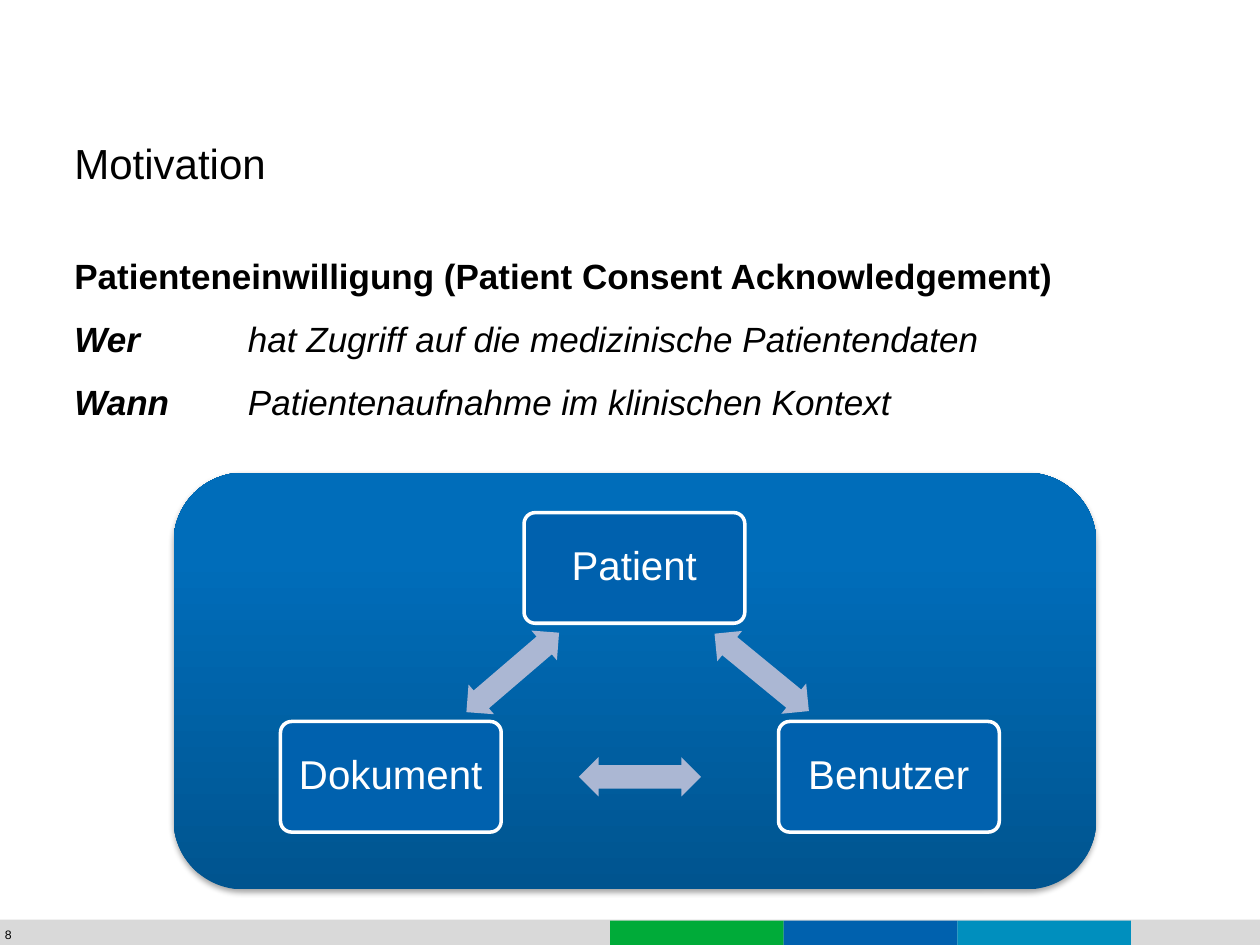
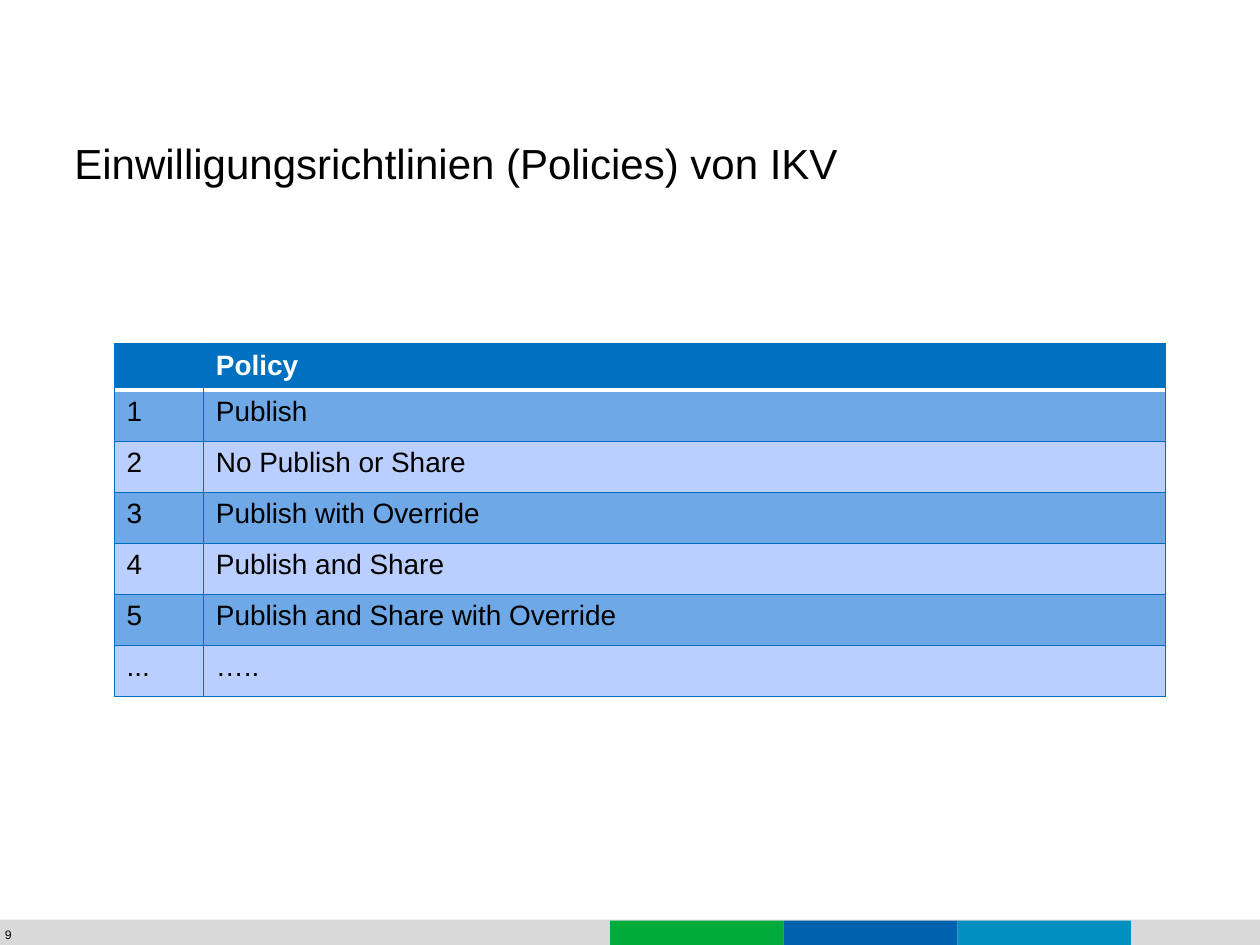
import math
from itertools import combinations

from lxml import etree
from pptx import Presentation
from pptx.dml.color import RGBColor
from pptx.enum import shapes, text
from pptx.oxml import ns
from pptx.util import Cm, Pt

COLORS = {
    "black": "000000", "white": "FFFFFF", "gray": "D9D9D9",
    "green": "00AB39", "blue": "0061AE", "cyan": "008FBE",
    "panel_dark": "00548F", "panel_light": "006DBA", "arrow": "ABB7D3",
    "header": "0070C0", "border": "006EBC",
    "row_dark": "6FA8E6", "row_light": "BBCFFF",
}
FONT = "Arial"
SLIDE_WIDTH, SLIDE_HEIGHT = 25.4, 19.05
MARGIN, TEXT_WIDTH = 1.5, 22.4
BANDS = ["green", "blue", "cyan"]
BAND_LEFT, BAND_WIDTH = 12.3, 3.5

MOTIVATION = {
    "number": 8,
    "title": "Motivation",
    # each line: (words, bold, italic)
    "lines": [
        [("Patienteneinwilligung (Patient Consent Acknowledgement)", True, False)],
        [("Wer\t", True, True),
         ("hat Zugriff auf die medizinische Patientendaten", False, True)],
        [("Wann\t", True, True),
         ("Patientenaufnahme im klinischen Kontext", False, True)],
    ],
    # centre of each node
    "nodes": {
        "Patient": (12.79, 11.45),
        "Benutzer": (17.92, 15.66),
        "Dokument": (7.88, 15.66),
    },
}
POLICIES = {
    "number": 9,
    "title": "Einwilligungsrichtlinien (Policies) von IKV",
    "rows": [
        ("", "Policy"),
        ("1", "Publish"),
        ("2", "No Publish or Share"),
        ("3", "Publish with Override"),
        ("4", "Publish and Share"),
        ("5", "Publish and Share with Override"),
        ("...", "….."),
    ],
}
PANEL = (3.5, 9.53, 18.6, 8.4)
NODE_SIZE = (4.45, 2.23)
ARROW_SIZE = (2.46, 0.79)
TABLE_LEFT, TABLE_TOP = 2.3, 6.93
COLUMN_WIDTHS = (1.8, 19.4)
HEADER_HEIGHT, ROW_HEIGHT = 0.89, 1.03


def rgb(name):
    return RGBColor.from_string(COLORS[name])


def add_run(paragraph, words, size, color="black", bold=False, italic=False):
    run = paragraph.add_run()
    run.text = words
    font = run.font
    font.name, font.size, font.bold, font.italic = FONT, Pt(size), bold, italic
    font.color.rgb = rgb(color)


def set_margins(frame, margin):
    frame.margin_left = frame.margin_right = Cm(margin)
    frame.margin_top = frame.margin_bottom = Cm(margin)


def add_frame(slide, left, top, width, height):
    frame = slide.shapes.add_textbox(*map(Cm, (left, top, width, height))).text_frame
    frame.word_wrap = True
    set_margins(frame, 0)
    return frame


def add_plain_shape(slide, kind, box, color):
    shape = slide.shapes.add_shape(kind, *map(Cm, box))
    shape.shadow.inherit = False
    shape.fill.solid()
    shape.fill.fore_color.rgb = rgb(color)
    shape.line.fill.background()
    return shape


def centered(center, size):
    return (center[0] - size[0] / 2, center[1] - size[1] / 2, *size)


def add_base_slide(presentation, content):
    """Add a slide with footer bands, title and slide number."""
    slide = presentation.slides.add_slide(presentation.slide_layouts[6])
    rectangle = shapes.MSO_SHAPE.RECTANGLE
    add_plain_shape(slide, rectangle, (0, 18.54, SLIDE_WIDTH, 0.51), "gray")
    for index, color in enumerate(BANDS):
        left = BAND_LEFT + index * BAND_WIDTH
        add_plain_shape(slide, rectangle, (left, 18.56, BAND_WIDTH, 0.49), color)
    title = add_frame(slide, MARGIN, 2.92, TEXT_WIDTH, 1.73).paragraphs[0]
    title.line_spacing = 0.85
    add_run(title, content["title"], 24)
    number = add_frame(slide, 0.1, 18.69, 0.7, 0.3).paragraphs[0]
    add_run(number, str(content["number"]), 7)
    return slide


def add_panel(slide):
    panel = add_plain_shape(slide, shapes.MSO_SHAPE.ROUNDED_RECTANGLE, PANEL, "panel_light")
    panel.fill.gradient()
    panel.fill.gradient_angle = 90
    stops = zip(panel.fill.gradient_stops, ("panel_dark", "panel_light"), (0, 0.8))
    for stop, color, position in stops:
        stop.color.rgb = rgb(color)
        stop.position = position
    effects = panel._element.spPr.find(ns.qn("a:effectLst"))
    shadow = etree.SubElement(
        effects, ns.qn("a:outerShdw"), blurRad=str(Pt(3.1)), dist=str(Pt(1.8)),
        dir="5400000", rotWithShape="0")
    color = etree.SubElement(shadow, ns.qn("a:srgbClr"), val=COLORS["black"])
    etree.SubElement(color, ns.qn("a:alpha"), val="35000")


def add_node(slide, label, center):
    node = add_plain_shape(slide, shapes.MSO_SHAPE.ROUNDED_RECTANGLE,
                           centered(center, NODE_SIZE), "blue")
    node.adjustments[0] = 0.1
    node.line.color.rgb = rgb("white")
    node.line.width = Pt(2)
    frame = node.text_frame
    frame.word_wrap = True
    frame.vertical_anchor = text.MSO_ANCHOR.MIDDLE
    set_margins(frame, 0.25)
    paragraph = frame.paragraphs[0]
    paragraph.alignment = text.PP_ALIGN.CENTER
    paragraph.line_spacing = 0.9
    add_run(paragraph, label, 23, "white")


def add_link(slide, start, end):
    """Put a double arrow halfway between two node centres."""
    middle = ((start[0] + end[0]) / 2, (start[1] + end[1]) / 2)
    arrow = add_plain_shape(slide, shapes.MSO_SHAPE.LEFT_RIGHT_ARROW,
                            centered(middle, ARROW_SIZE), "arrow")
    arrow.adjustments[0] = 0.6
    arrow.rotation = math.degrees(math.atan2(end[1] - start[1], end[0] - start[0])) % 360


def build_motivation(presentation):
    slide = add_base_slide(presentation, MOTIVATION)
    add_panel(slide)
    frame = add_frame(slide, MARGIN, 5.13, TEXT_WIDTH, 4)
    for index, line in enumerate(MOTIVATION["lines"]):
        paragraph = frame.add_paragraph() if index else frame.paragraphs[0]
        paragraph.space_before = Pt(12 if index else 0)
        properties = paragraph._p.get_or_add_pPr()
        properties.set("marL", str(Cm(3.5)))
        properties.set("indent", str(-Cm(3.5)))
        for words, bold, italic in line:
            add_run(paragraph, words, 20, bold=bold, italic=italic)
    nodes = MOTIVATION["nodes"]
    for label, center in nodes.items():
        add_node(slide, label, center)
    for start, end in combinations(nodes.values(), 2):
        add_link(slide, start, end)


def set_borders(cell, borders):
    """Set cell borders, given in the order left, right, top, bottom."""
    properties = cell._tc.get_or_add_tcPr()
    for index, (side, (color, width)) in enumerate(zip("LRTB", borders)):
        line = etree.Element(ns.qn(f"a:ln{side}"), w=str(Pt(width)))
        fill = etree.SubElement(line, ns.qn("a:solidFill"))
        etree.SubElement(fill, ns.qn("a:srgbClr"), val=COLORS[color])
        properties.insert(index, line)


def build_policies(presentation):
    slide = add_base_slide(presentation, POLICIES)
    rows = POLICIES["rows"]
    height = HEADER_HEIGHT + ROW_HEIGHT * (len(rows) - 1)
    box = (TABLE_LEFT, TABLE_TOP, sum(COLUMN_WIDTHS), height)
    table = slide.shapes.add_table(len(rows), len(COLUMN_WIDTHS), *map(Cm, box)).table
    for column, width in zip(table.columns, COLUMN_WIDTHS):
        column.width = Cm(width)
    thin, divider, hidden = ("border", 0.75), ("white", 2), ("header", 0.75)
    for row_index, row in enumerate(rows):
        is_header = row_index == 0
        table.rows[row_index].height = Cm(HEADER_HEIGHT if is_header else ROW_HEIGHT)
        band = "row_dark" if row_index % 2 else "row_light"
        for column_index, words in enumerate(row):
            cell = table.cell(row_index, column_index)
            cell.fill.solid()
            cell.fill.fore_color.rgb = rgb("header" if is_header else band)
            side = hidden if is_header else thin
            set_borders(cell, (side, side, divider if row_index == 1 else thin,
                               divider if is_header else thin))
            paragraph = cell.text_frame.paragraphs[0]
            if words:
                add_run(paragraph, words, 16, "white" if is_header else "black", is_header)
            else:
                paragraph._p.get_or_add_endParaRPr().set("sz", "1600")


def main():
    presentation = Presentation()
    presentation.slide_width = Cm(SLIDE_WIDTH)
    presentation.slide_height = Cm(SLIDE_HEIGHT)
    build_motivation(presentation)
    build_policies(presentation)
    presentation.save("out.pptx")


if __name__ == "__main__":
    main()
